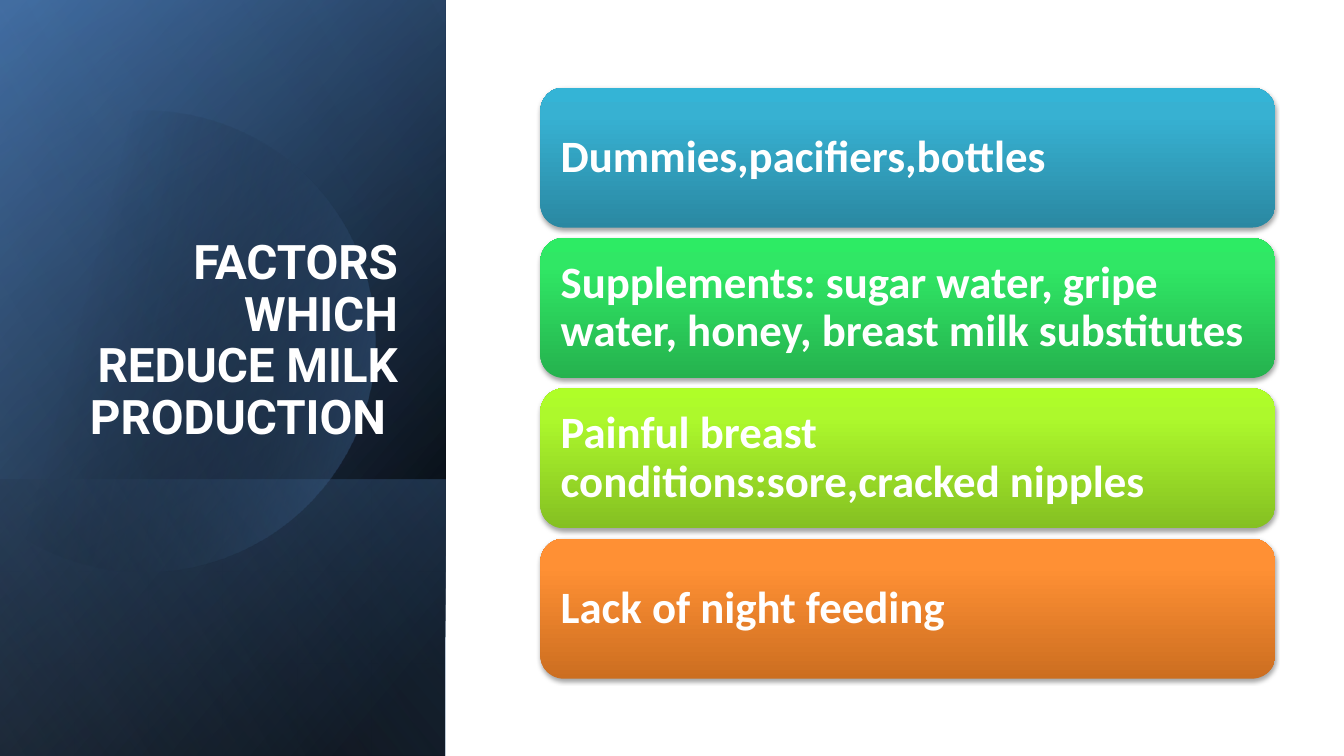
from pptx import Presentation
from pptx.dml.color import RGBColor
from pptx.enum import shapes, text
from pptx.oxml import parse_xml
from pptx.oxml.ns import nsdecls, qn
from pptx.util import Pt


def paint(sp, stops, angle):
    """Gradient fill from (position %, hex colour, opacity %) stops; clockwise angle."""
    gs = "".join(
        f'<a:gs pos="{pos * 1000}"><a:srgbClr val="{color}">'
        f'<a:alpha val="{opacity * 1000}"/></a:srgbClr></a:gs>'
        for pos, color, opacity in stops)
    sp.fill.background()
    sp.line.fill.background()
    sp.shadow.inherit = False
    props = sp._element.spPr
    props.replace(props.find(qn("a:noFill")), parse_xml(
        f'<a:gradFill {nsdecls("a")} rotWithShape="1"><a:gsLst>{gs}</a:gsLst>'
        f'<a:lin ang="{angle * 60000}" scaled="0"/></a:gradFill>'))


def write(sp, content, size, font, align, anchor, inset, color="FFFFFF"):
    tf = sp.text_frame
    tf.word_wrap = True
    tf.auto_size = text.MSO_AUTO_SIZE.NONE
    tf.vertical_anchor = anchor
    tf.margin_left = tf.margin_right = Pt(inset)
    p = tf.paragraphs[0]
    p.alignment = align
    p.line_spacing = 0.9
    r = p.add_run()
    r.text = content
    r.font.size = Pt(size)
    r.font.name = font
    r.font.bold = True
    r.font.color.rgb = RGBColor.from_string(color)


prs = Presentation()
prs.slide_width, prs.slide_height = Pt(960), Pt(540)
s = prs.slides.add_slide(prs.slide_layouts[5])

# Left panel: layered gradients, each a rectangle turned by 90 degrees
PANEL_W = 318.2
layers = [
    (0, 540, [(8, "000000", 100), (100, "376092", 100)], 50),
    (0, 540, [(0, "000000", 0), (99, "4F81BD", 46)], 30),
    (342.7, 197.3, [(2, "4F81BD", 29), (100, "000000", 30)], 130),
    (0, 540, [(0, "000000", 0), (99, "95B3D7", 11)], 120),
]
panels = []
for top, height, stops, angle in layers:
    sp = s.shapes.add_shape(
        shapes.MSO_SHAPE.RECTANGLE, Pt((PANEL_W - height) / 2),
        Pt(top + (height - PANEL_W) / 2), Pt(height), Pt(PANEL_W))
    sp.rotation = 90
    sp._element.spPr.xfrm.set("flipH", "1")
    paint(sp, stops, angle)
    panels.append(sp)

# Large disc, cut off at the left; curves in inches, sampled into short segments
start = (1.49, 1.1)
curves = [
    [(2.46, 1.12), (3.35, 1.77), (3.63, 2.75)],
    [(3.98, 3.97), (3.28, 5.23), (2.07, 5.58)],
    [(1.31, 5.8), (0.53, 5.61), (-0.03, 5.14)],
    [(-0.15, 5.03), (-0.15, 1.75), (0, 1.61)],
    [(0.23, 1.42), (0.5, 1.28), (0.8, 1.19)],
    [(1.03, 1.13), (1.26, 1.1), (1.49, 1.1)],
]
STRAIGHT, STEPS = 3, 24
outline, last = [], start
for i, (a, b, end) in enumerate(curves):
    if i == STRAIGHT:
        outline += [a, b, end]
    else:
        for t in (n / STEPS for n in range(1, STEPS + 1)):
            outline.append(tuple(
                (1 - t) ** 3 * w + 3 * t * (1 - t) ** 2 * x
                + 3 * t * t * (1 - t) * y + t ** 3 * z
                for w, x, y, z in zip(last, a, b, end)))
    last = end
builder = s.shapes.build_freeform(start[0] * 1000, start[1] * 1000, scale=Pt(72) / 1000)
builder.add_line_segments([(x * 1000, y * 1000) for x, y in outline], close=True)
disc = builder.convert_to_shape()
paint(disc, [(29, "000000", 0), (100, "4F81BD", 43)], 14)
panels[-1]._element.addprevious(disc._element)

title = s.shapes.title
title.left, title.top, title.width, title.height = Pt(46), Pt(132.5), Pt(245.5), Pt(188.6)
write(title, "FACTORS WHICH REDUCE MILK PRODUCTION ", 34, "Roboto",
      text.PP_ALIGN.RIGHT, text.MSO_ANCHOR.BOTTOM, 7.2)
panels[-1]._element.addnext(title._element)

# Right side: one card per factor
cards = [
    ("Dummies,pacifiers,bottles", "2A88A2", "37B1D2", "34B4D6"),
    ("Supplements: sugar water, gripe water, honey, breast milk substitutes",
     "25B24E", "30E765", "2DEB64"),
    ("Painful breast conditions:sore,cracked nipples", "85C022", "ADF92C", "AFFE28"),
    ("Lack of night feeding", "CC6E20", "FF9034", "FF9136"),
]
for i, (factor, dark, mid, light) in enumerate(cards):
    sp = s.shapes.add_shape(shapes.MSO_SHAPE.ROUNDED_RECTANGLE,
                            Pt(386), Pt(62.6 + 107.4 * i), Pt(525), Pt(100))
    paint(sp, [(0, dark, 100), (80, mid, 100), (100, light, 100)], 270)
    sp._element.spPr.find(qn("a:effectLst")).append(parse_xml(
        f'<a:outerShdw {nsdecls("a")} blurRad="{Pt(3.1)}" dist="{Pt(1.8)}" dir="5400000" '
        'rotWithShape="0"><a:srgbClr val="000000"><a:alpha val="35000"/></a:srgbClr>'
        '</a:outerShdw>'))
    write(sp, factor, 32, "Calibri", text.PP_ALIGN.LEFT, text.MSO_ANCHOR.MIDDLE, 9.6)

prs.save("out.pptx")
